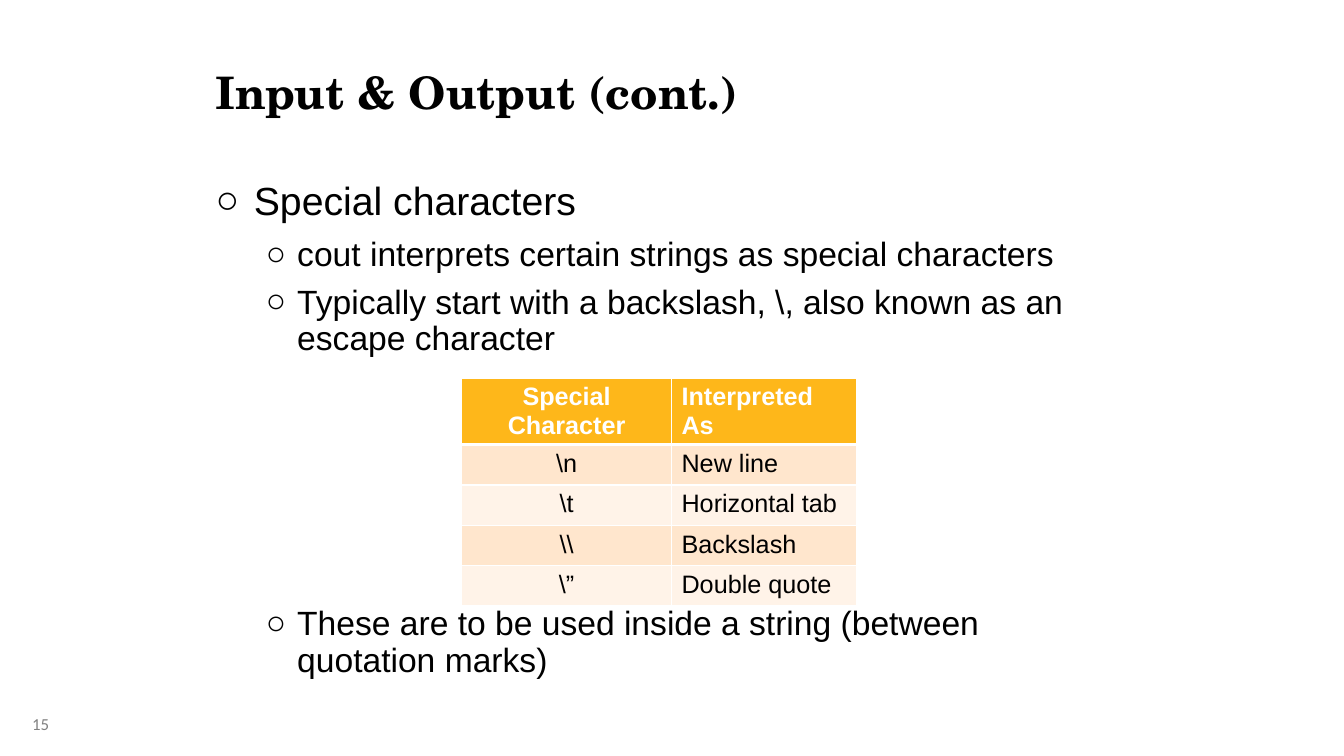
from lxml import etree
from pptx import Presentation
from pptx.dml.color import RGBColor
from pptx.enum.text import MSO_ANCHOR as Anchor, PP_ALIGN as Align
from pptx.oxml import parse_xml
from pptx.oxml.ns import nsdecls, qn
from pptx.util import Inches, Pt

TITLE = "Input & Output (cont.)"
NUMBER = "15"
# text, level, space before in points (the last one clears the table)
POINTS = [
    ("Special characters", 0, 6),
    ("cout interprets certain strings as special characters", 1, 4),
    ("Typically start with a backslash, \\, also known as an escape character", 1, 4),
    ("These are to be used inside a string (between quotation marks)", 1, 174),
]
# size, left margin, hanging indent, space after
LEVELS = [(28, 0.38, 0.38, 6), (24, 0.81, 0.31, 4)]
ROWS = [
    ("Special Character", "Interpreted As"),
    ("\\n", "New line"),
    ("\\t", "Horizontal tab"),
    ("\\\\", "Backslash"),
    ("\\”", "Double quote"),
]
WIDTHS = [2.08, 1.84]
HEIGHT = 0.4
HEAD, BANDS = "FEB71A", ["FFE6CD", "FFF3E8"]
BLACK, WHITE, GRAY = "000000", "FFFFFF", "808080"


def color(target, code):
    target.rgb = RGBColor.from_string(code)


def style(para, size, code=BLACK, bold=False, name="Arial"):
    for run in para.runs:
        font = run.font
        font.size, font.bold, font.name = Pt(size), bold, name
        color(font.color, code)


def add_text(slide, left, top, width, height, anchor=Anchor.TOP):
    box = slide.shapes.add_textbox(*map(Inches, (left, top, width, height)))
    frame = box.text_frame
    frame.word_wrap = True
    frame.vertical_anchor = anchor
    return frame


def add_bullet(para, left, hang):
    props = para._p.get_or_add_pPr()
    props.set("marL", str(Inches(left)))
    props.set("indent", str(-Inches(hang)))
    tint = etree.SubElement(props, qn("a:buClr"))
    etree.SubElement(tint, qn("a:srgbClr"), val=BLACK)
    etree.SubElement(props, qn("a:buFont"), typeface="Arial")
    etree.SubElement(props, qn("a:buChar"), char="○")


def add_edges(cell, row):
    """Draw white cell borders, thick between the header and the body."""
    props = cell._tc.get_or_add_tcPr()
    for side in "LRTB":
        thick = (row, side) in ((0, "B"), (1, "T"))
        props.append(parse_xml(
            f'<a:ln{side} {nsdecls("a")} w="{Pt(3 if thick else 1)}">'
            f'<a:solidFill><a:srgbClr val="{WHITE}"/></a:solidFill></a:ln{side}>'))


def add_points(slide):
    frame = add_text(slide, 2.04, 1.75, 9, 4.95)
    for i, (text, level, before) in enumerate(POINTS):
        size, left, hang, after = LEVELS[level]
        para = frame.add_paragraph() if i else frame.paragraphs[0]
        para.text = text
        para.level = level
        para.line_spacing = 0.9
        para.space_before, para.space_after = Pt(before), Pt(after)
        add_bullet(para, left, hang)
        style(para, size)


def add_grid(slide):
    table = slide.shapes.add_table(
        len(ROWS), len(WIDTHS), Inches(4.58), Inches(3.75),
        Inches(sum(WIDTHS)), Inches(HEIGHT * len(ROWS))).table
    for col, width in zip(table.columns, WIDTHS):
        col.width = Inches(width)
    for r, row in enumerate(ROWS):
        table.rows[r].height = Inches(HEIGHT)
        for c, text in enumerate(row):
            cell = table.cell(r, c)
            cell.text_frame.text = text
            # the two-line header stays tight so the table ends above the last point
            cell.margin_bottom = Inches(0.05 if r else 0.01)
            para = cell.text_frame.paragraphs[0]
            para.alignment = Align.LEFT if c else Align.CENTER
            style(para, 18, BLACK if r else WHITE, bold=r == 0)
            add_edges(cell, r)
            cell.fill.solid()
            color(cell.fill.fore_color, BANDS[(r - 1) % 2] if r else HEAD)


def main():
    deck = Presentation()
    deck.slide_width, deck.slide_height = Inches(13.33), Inches(7.5)
    slide = deck.slides.add_slide(deck.slide_layouts[6])

    number = add_text(slide, 0.22, 7.03, 1.22, 0.55)
    number.text = NUMBER
    style(number.paragraphs[0], 12, GRAY, name="Calibri")

    title = add_text(slide, 2.04, 0.3, 8.3, 0.92, Anchor.BOTTOM)
    title.text = TITLE
    style(title.paragraphs[0], 32, bold=True, name="TeX Gyre Schola")

    # the table goes behind the points, so their text is never covered
    add_grid(slide)
    add_points(slide)
    deck.save("out.pptx")


if __name__ == "__main__":
    main()
